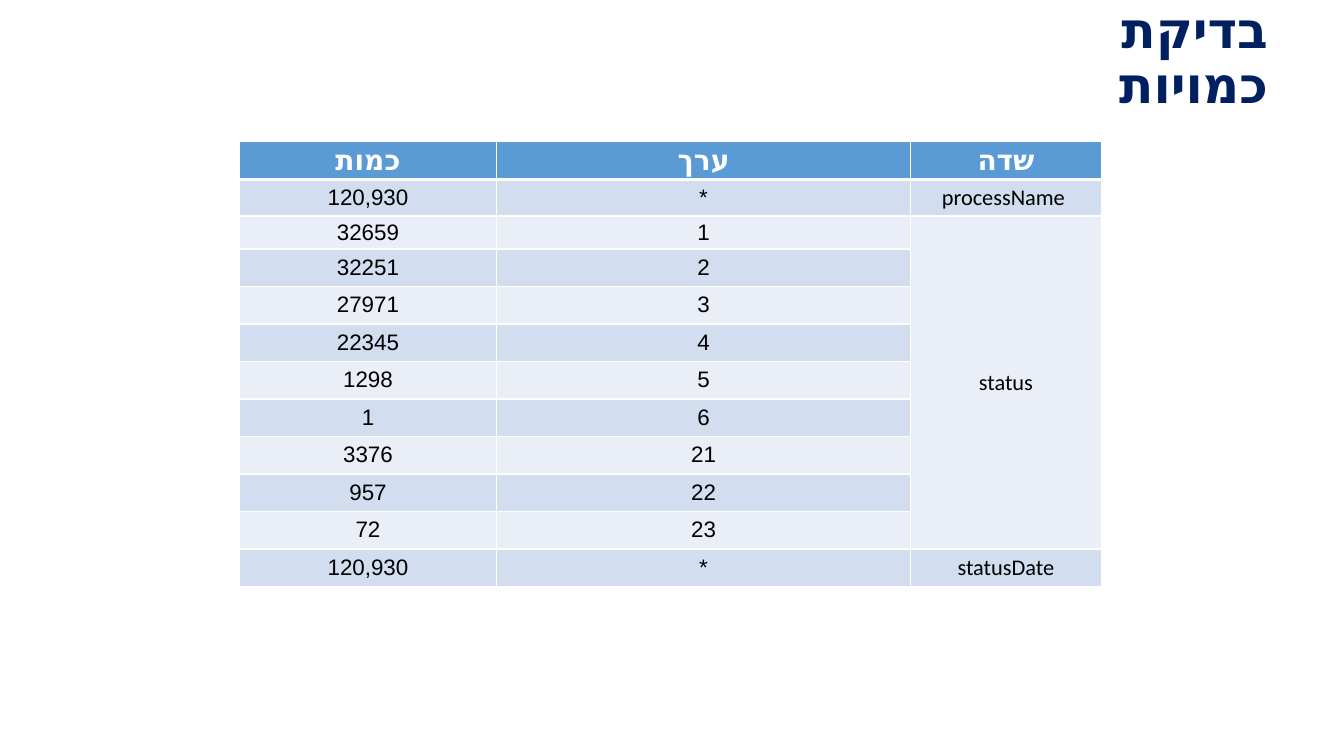
import dataclasses
import typing

import lxml.etree
import pptx
import pptx.dml.color
import pptx.enum.dml
import pptx.enum.lang
import pptx.enum.text
import pptx.oxml.ns
import pptx.util

Pt = pptx.util.Pt
CENTER = pptx.enum.text.PP_ALIGN.CENTER
MIDDLE = pptx.enum.text.MSO_ANCHOR.MIDDLE
qualified = pptx.oxml.ns.qn

COLUMN_WIDTHS = [183.6, 295.9, 136.1]
ROW_HEIGHTS = [27.2, 26.1, 23.6] + [26.8] * 9
HEADINGS = ["כמות", "ערך", "שדה"]
STATUS_FIRST, STATUS_LAST = 2, 10


@dataclasses.dataclass(frozen=True)
class Count:
    amount: str
    value: str
    field: str = ""


COUNTS = [
    Count("120,930", "*", "processName "),
    Count("32659", "1", "status"),
    Count("32251", "2"),
    Count("27971", "3"),
    Count("22345", "4"),
    Count("1298", "5"),
    Count("1", "6"),
    Count("3376", "21"),
    Count("957", "22"),
    Count("72", "23"),
    Count("120,930", "*", "statusDate"),
]


@dataclasses.dataclass(frozen=True)
class Style:
    size: float
    color: str
    bold: bool
    script_font: str = "Calibri"
    hebrew: bool = False
    right_to_left: bool = False


TITLE = Style(36, "002060", True, hebrew=True, right_to_left=True)
HEADING = Style(20, "FFFFFF", True, hebrew=True)
NUMBER = Style(16, "000000", False, script_font="Arial", right_to_left=True)
FIELD = Style(16, "000000", False)


def paint(target: typing.Any, color: str) -> None:
    if isinstance(target, pptx.dml.fill.FillFormat):
        target.solid()
        target = target.fore_color
    target.rgb = pptx.dml.color.RGBColor.from_string(color)


def write(frame: typing.Any, text: str, style: Style, alignment: typing.Any) -> None:
    para = frame.paragraphs[0]
    para.alignment = alignment
    if style.right_to_left:
        para._p.get_or_add_pPr().set("rtl", "1")
    span = para.add_run()
    span.text = text
    span.font.name = "Calibri"
    span.font.size = Pt(style.size)
    span.font.bold = style.bold
    paint(span.font.color, style.color)
    if style.hebrew:
        span.font.language_id = pptx.enum.lang.MSO_LANGUAGE_ID.HEBREW
    script = lxml.etree.SubElement(span._r.get_or_add_rPr(), qualified("a:cs"))
    script.set("typeface", style.script_font)


def add_borders(cell: typing.Any, top: float, bottom: float) -> None:
    properties = cell._tc.get_or_add_tcPr()
    for side, width in (("L", 1), ("R", 1), ("T", top), ("B", bottom)):
        line = lxml.etree.SubElement(properties, qualified(f"a:ln{side}"))
        line.set("w", str(Pt(width)))
        fill = lxml.etree.SubElement(line, qualified("a:solidFill"))
        lxml.etree.SubElement(fill, qualified("a:srgbClr")).set("val", "FFFFFF")


def add_title(page: typing.Any) -> None:
    box = page.shapes.title
    box.left, box.top, box.width, box.height = Pt(701.3), Pt(18), Pt(211.7), Pt(49)
    frame = box.text_frame
    frame.word_wrap = True
    frame.auto_size = pptx.enum.text.MSO_AUTO_SIZE.NONE
    frame.vertical_anchor = MIDDLE
    write(frame, "בדיקת כמויות", TITLE, pptx.enum.text.PP_ALIGN.RIGHT)
    frame.paragraphs[0].line_spacing = 0.9


def add_count_table(page: typing.Any) -> None:
    table = page.shapes.add_table(
        len(ROW_HEIGHTS), len(COLUMN_WIDTHS), Pt(171), Pt(101),
        Pt(sum(COLUMN_WIDTHS)), Pt(sum(ROW_HEIGHTS)),
    ).table
    for column, width in zip(table.columns, COLUMN_WIDTHS):
        column.width = Pt(width)
    for row, height in zip(table.rows, ROW_HEIGHTS):
        row.height = Pt(height)
    table.cell(STATUS_FIRST, 2).merge(table.cell(STATUS_LAST, 2))

    rows = [HEADINGS] + [[count.amount, count.value, count.field] for count in COUNTS]
    for row_index, texts in enumerate(rows):
        for column_index, text in enumerate(texts):
            cell = table.cell(row_index, column_index)
            cell.vertical_anchor = MIDDLE
            cell.margin_top = cell.margin_bottom = Pt(1)
            add_borders(cell, 3 if row_index == 1 else 1, 3 if row_index == 0 else 1)
            if row_index == 0:
                color, style = "5B9BD5", HEADING
            else:
                color = "D2DEEF" if row_index % 2 else "EAEFF7"
                style = FIELD if column_index == 2 else NUMBER
            paint(cell.fill, color)
            if text:
                write(cell.text_frame, text, style, CENTER)


def main() -> None:
    deck = pptx.Presentation()
    deck.slide_width, deck.slide_height = Pt(960), Pt(540)
    page = deck.slides.add_slide(deck.slide_layouts[5])
    add_count_table(page)
    add_title(page)
    deck.save("out.pptx")


if __name__ == "__main__":
    main()
